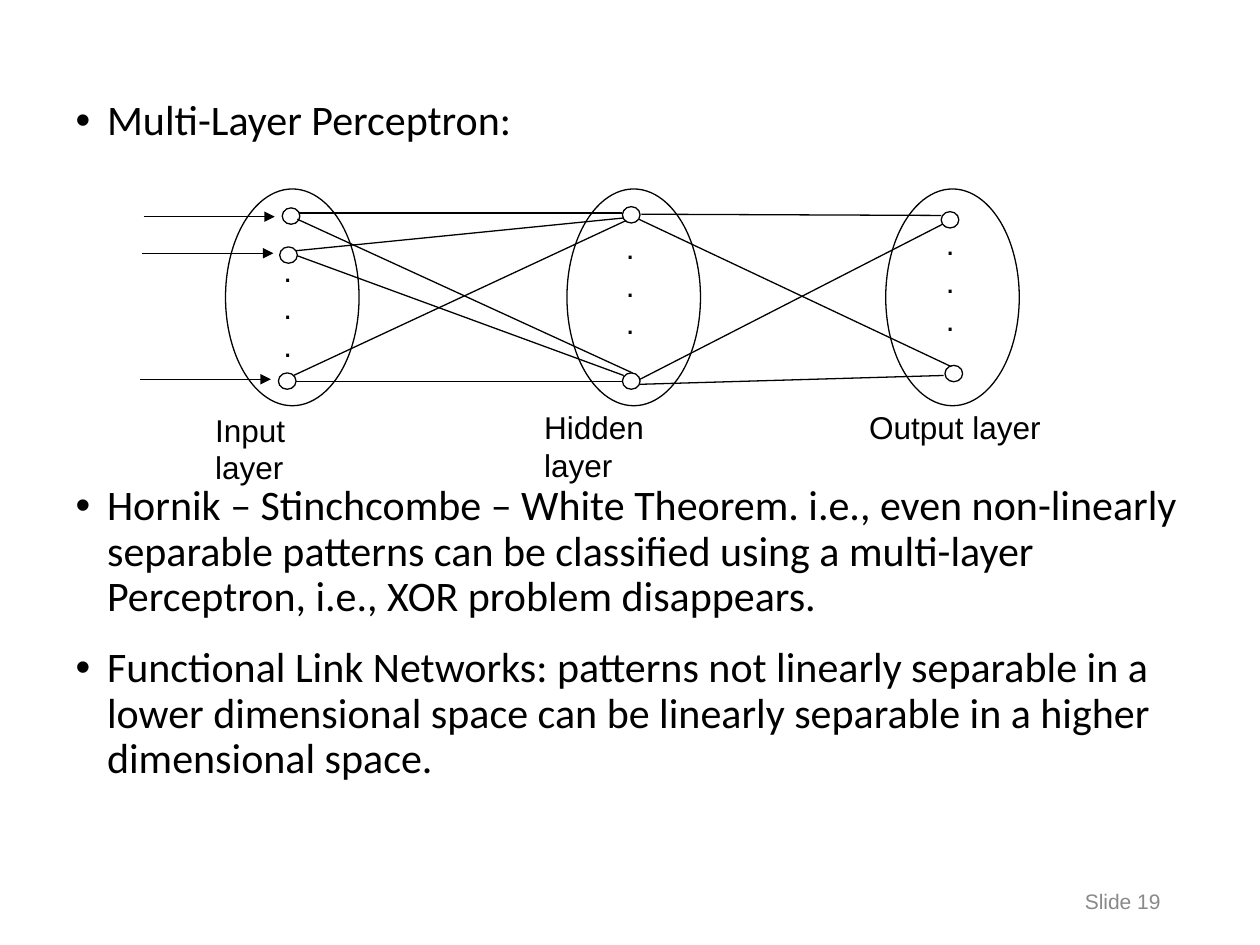
from lxml.etree import SubElement
from pptx import Presentation
from pptx.dml.color import RGBColor
from pptx.enum.shapes import MSO_CONNECTOR, MSO_SHAPE
from pptx.enum.text import MSO_ANCHOR, MSO_AUTO_SIZE, PP_ALIGN
from pptx.oxml.ns import qn
from pptx.util import Inches, Pt

COLORS = {"ink": "000000", "muted": "898989"}

BULLETS = [
    ("Multi-Layer Perceptron:", 0),
    ("Hornik – Stinchcombe – White Theorem. i.e., even non-linearly separable patterns "
     "can be classified using a multi-layer Perceptron, i.e., XOR problem disappears.", 194),
    ("Functional Link Networks: patterns not linearly separable in a lower dimensional "
     "space can be linearly separable in a higher dimensional space.", 15),
]
LAYERS = [
    {"left": 1.79, "label": ("Input layer", 1.61, 3.21, 1.36), "dots": (2.15, 1.94),
     "nodes": [(2.24, 1.65), (2.22, 1.96), (2.21, 2.96)]},
    {"left": 4.5, "label": ("Hidden layer", 4.22, 3.19, 1.6), "dots": (4.87, 1.76),
     "nodes": [(4.94, 1.64), (4.94, 2.96)]},
    {"left": 7.03, "label": ("Output layer", 6.8, 3.19, 1.56), "dots": (7.41, 1.73),
     "nodes": [(7.47, 1.68), (7.5, 2.9)]},
]
INPUT_ARROWS = [(1.14, 1.72), (1.13, 2.01), (1.11, 3.01)]
ARROW_LENGTH = 1.04
WEIGHTS = [
    (2.37, 1.69, 4.94, 1.69),
    (2.36, 1.74, 5.02, 2.96),
    (2.35, 1.99, 4.95, 1.73),
    (2.36, 2.03, 4.95, 2.98),
    (2.33, 2.98, 4.97, 1.75),
    (2.35, 3.03, 4.94, 3.03),
    (5.09, 1.7, 7.47, 1.71),
    (5.07, 1.74, 7.55, 2.91),
    (5.08, 3.01, 7.48, 1.78),
    (5.08, 3.05, 7.49, 2.98),
]

deck = Presentation()
deck.slide_width, deck.slide_height = Inches(10), Inches(7.5)
slide = deck.slides.add_slide(deck.slide_layouts[1])
slide.shapes.title.element.getparent().remove(slide.shapes.title.element)


def color(name):
    return RGBColor.from_string(COLORS[name])


def write(paragraph, text, *, size=18, font="Arial", ink="ink", align=PP_ALIGN.LEFT):
    paragraph.text = text
    paragraph.alignment = align
    paragraph.font.size = Pt(size)
    paragraph.font.name = font
    paragraph.font.color.rgb = color(ink)


def add_text(lines, left, top, width, height, wrap=False, anchor=MSO_ANCHOR.TOP, **style):
    box = slide.shapes.add_textbox(*map(Inches, (left, top, width, height)))
    frame = box.text_frame
    frame.word_wrap = wrap
    frame.vertical_anchor = anchor
    for index, line in enumerate(lines):
        write(frame.add_paragraph() if index else frame.paragraphs[0], line, **style)


def add_oval(left, top, width, height):
    oval = slide.shapes.add_shape(MSO_SHAPE.OVAL, *map(Inches, (left, top, width, height)))
    oval.shadow.inherit = False
    oval.fill.background()
    oval.line.color.rgb = color("ink")
    oval.line.width = Pt(0.75)


def add_line(x1, y1, x2, y2, arrow=False):
    line = slide.shapes.add_connector(MSO_CONNECTOR.STRAIGHT, *map(Inches, (x1, y1, x2, y2)))
    line.line.color.rgb = color("ink")
    line.line.width = Pt(0.75)
    if arrow:
        SubElement(line.line._get_or_add_ln(), qn("a:tailEnd"), type="triangle")
    SubElement(line.element.spPr, qn("a:effectLst"))


body = slide.placeholders[1]
body.left, body.top, body.width, body.height = map(Inches, (0.5, 0.74, 9, 5.96))
body.text_frame.auto_size = MSO_AUTO_SIZE.NONE
for index, (text, gap) in enumerate(BULLETS):
    paragraph = body.text_frame.add_paragraph() if index else body.text_frame.paragraphs[0]
    properties = paragraph._p.get_or_add_pPr()
    properties.set("marL", str(Inches(0.25)))
    properties.set("indent", str(-Inches(0.25)))
    SubElement(properties, qn("a:buChar"), char="•")
    paragraph.line_spacing = 0.9
    paragraph.space_before = Pt(gap)
    write(paragraph, text, size=24, font="Calibri")

add_text(["Slide 19"], 7.06, 6.95, 2.25, 0.4, wrap=True, anchor=MSO_ANCHOR.MIDDLE,
         size=12, ink="muted", align=PP_ALIGN.RIGHT)

for layer in LAYERS:
    add_oval(layer["left"], 1.5, 1.06, 1.72)
    for node in layer["nodes"]:
        add_oval(*node, 0.14, 0.13)
    add_text(["."] * 3, *layer["dots"], 0.27, 1)
    label, left, top, width = layer["label"]
    add_text([label], left, top, width, 0.4)

for x, y in INPUT_ARROWS:
    add_line(x, y, x + ARROW_LENGTH, y, arrow=True)
for weight in WEIGHTS:
    add_line(*weight)

deck.save("out.pptx")
